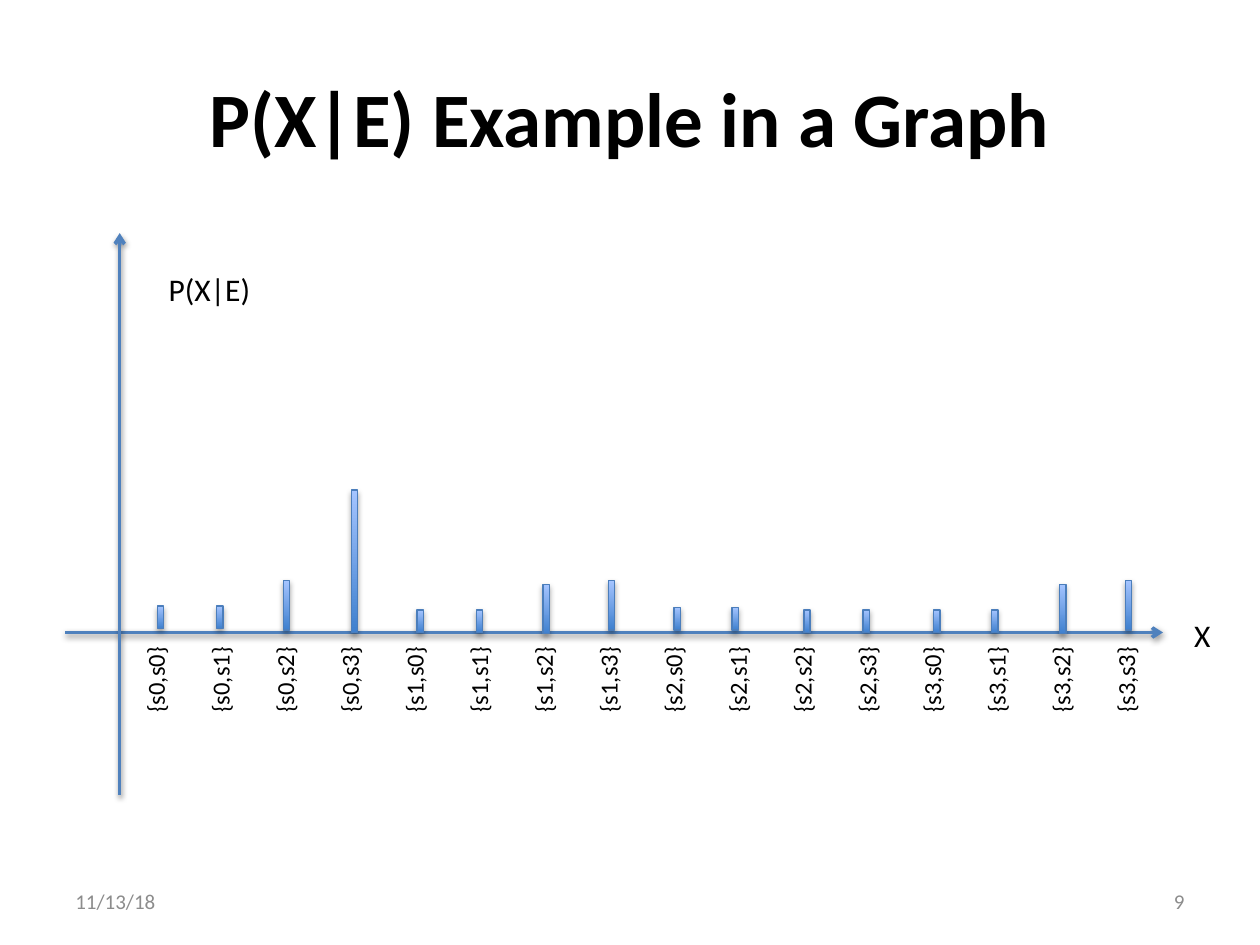
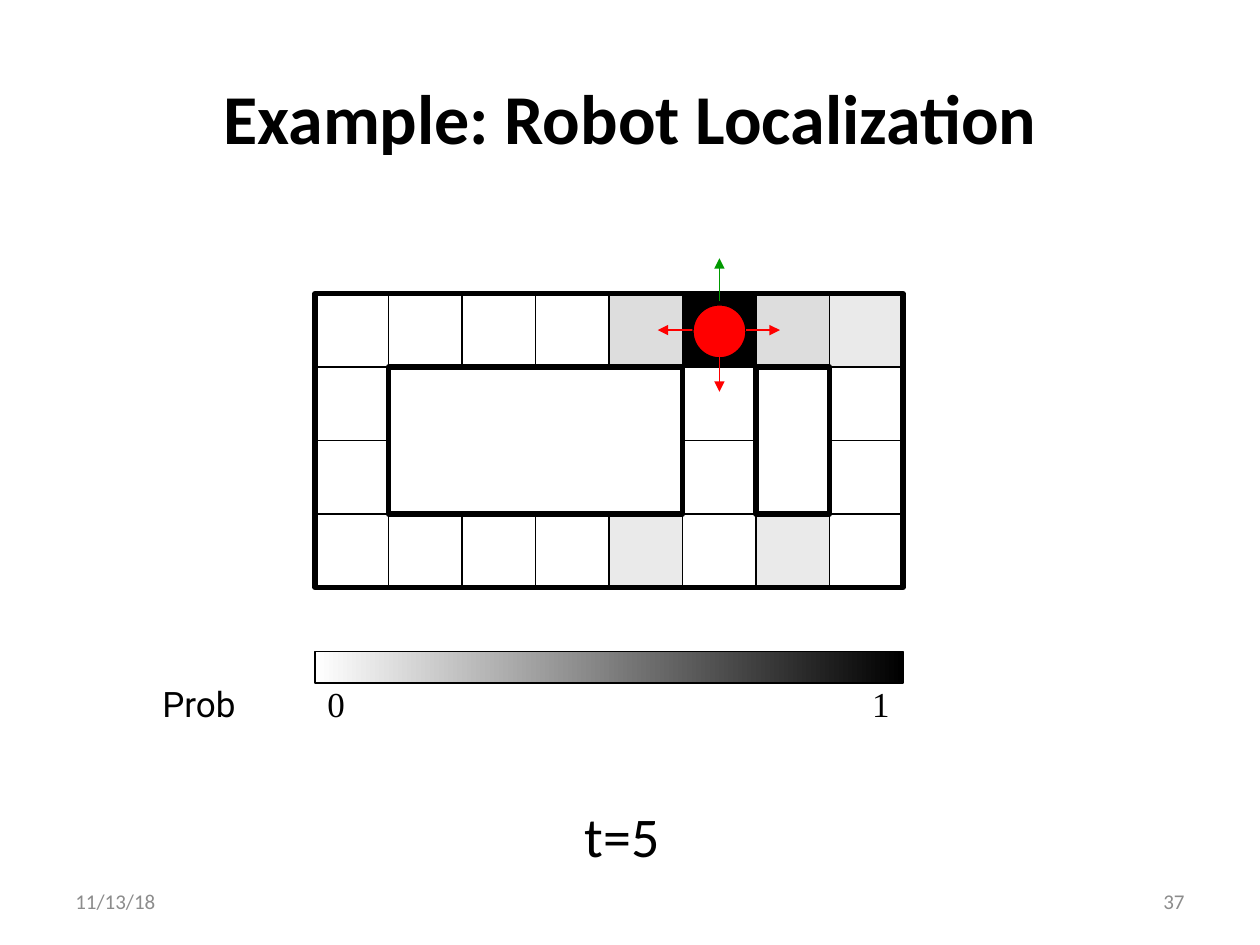
from lxml import etree
from pptx import Presentation
from pptx.dml.color import RGBColor
from pptx.enum.shapes import MSO_CONNECTOR, MSO_SHAPE
from pptx.enum.text import MSO_ANCHOR, MSO_AUTO_SIZE, PP_ALIGN
from pptx.oxml.ns import qn
from pptx.util import Inches, Pt

RECT, OVAL = MSO_SHAPE.RECTANGLE, MSO_SHAPE.OVAL
STRAIGHT = MSO_CONNECTOR.STRAIGHT
LEFT, CENTER, RIGHT = PP_ALIGN.LEFT, PP_ALIGN.CENTER, PP_ALIGN.RIGHT
TOP, MIDDLE = MSO_ANCHOR.TOP, MSO_ANCHOR.MIDDLE
GROW = MSO_AUTO_SIZE.SHAPE_TO_FIT_TEXT

FONT = "Calibri"
BLACK, WHITE, GREY = "000000", "FFFFFF", "8C8C8C"
RED, GREEN = "FF0000", "009900"
AXIS, BAR_LINE = "4F81BD", "4B7EBC"
BAR_GRADIENT = ("3F80CE", "A4C4FF")
DATE = "11/13/18"

BARS = [
    (1.25, 4.81, 0.18), (1.72, 4.81, 0.18), (2.25, 4.61, 0.39), (2.79, 3.89, 1.13),
    (3.31, 4.84, 0.18), (3.78, 4.84, 0.18), (4.31, 4.64, 0.39), (4.83, 4.61, 0.39),
    (5.35, 4.82, 0.18), (5.81, 4.82, 0.18), (6.38, 4.84, 0.18), (6.85, 4.84, 0.18),
    (7.41, 4.84, 0.18), (7.87, 4.84, 0.18), (8.41, 4.64, 0.39), (8.93, 4.61, 0.39),
]
BAR_WIDTH = 0.05
LABEL_LEFT, LABEL_STEP = 0.87, 7.7 / 15

CELL = 7 / 12
MAP_LEFT, MAP_TOP, MAP_COLS, MAP_ROWS = 2.5, 2.33, 8, 4
WALLS = [(1, 1, 4, 2), (6, 1, 1, 2)]
CELL_FILLS = {(4, 0): "DDDDDD", (5, 0): BLACK, (6, 0): "DDDDDD",
              (7, 0): "EAEAEA", (4, 3): "EAEAEA", (6, 3): "EAEAEA"}


def rgb(color):
    """Turn a hex string into a colour."""
    return RGBColor.from_string(color)


def set_font(p, size, color=BLACK, font=FONT, bold=False):
    """Format a whole paragraph."""
    p.font.size, p.font.name, p.font.bold = Pt(size), font, bold
    p.font.color.rgb = rgb(color)


def place(sp, left, top, width, height):
    """Move and size a shape, in inches."""
    sp.left, sp.top = Inches(left), Inches(top)
    sp.width, sp.height = Inches(width), Inches(height)


def set_shadow(sp, alpha=0, dist=0):
    """Replace the theme shadow, with none when alpha is zero."""
    effects = etree.SubElement(sp._element.spPr, qn("a:effectLst"))
    if alpha:
        shadow = etree.SubElement(effects, qn("a:outerShdw"), blurRad=str(Pt(3.1)),
                                  dist=str(Pt(dist)), dir="5400000", rotWithShape="0")
        color = etree.SubElement(shadow, qn("a:srgbClr"), val=BLACK)
        etree.SubElement(color, qn("a:alpha"), val=str(alpha * 1000))


def add_text(slide, text, box, size, color=BLACK, font=FONT, align=LEFT,
             anchor=MIDDLE, wrap=False, grow=False, rotation=0):
    """Add a one-paragraph text box."""
    sp = slide.shapes.add_textbox(*map(Inches, box))
    sp.rotation = rotation
    tf = sp.text_frame
    tf.word_wrap, tf.vertical_anchor = wrap, anchor
    if grow:
        tf.auto_size = GROW
    p = tf.paragraphs[0]
    p.text, p.alignment = text, align
    set_font(p, size, color, font)


def add_figure_label(slide, text, box, size, rotation=0):
    """Add a label that grows with its text."""
    add_text(slide, text, box, size, anchor=TOP, grow=True, rotation=rotation)


def add_shape(slide, kind, box, fill=None, line=BLACK, weight=0.75,
              angle=0, alpha=0, dist=0):
    """Add a shape with no fill, a solid fill or a two-colour gradient."""
    sp = slide.shapes.add_shape(kind, *map(Inches, box))
    if fill is None:
        sp.fill.background()
    elif isinstance(fill, str):
        sp.fill.solid()
        sp.fill.fore_color.rgb = rgb(fill)
    else:
        sp.fill.gradient()
        sp.fill.gradient_angle = angle
        for stop, color in zip(sp.fill.gradient_stops, fill):
            stop.color.rgb = rgb(color)
    sp.line.color.rgb, sp.line.width = rgb(line), Pt(weight)
    set_shadow(sp, alpha, dist)


def add_arrow(slide, start, end, color, weight=0.75, head="triangle", alpha=0, dist=0):
    """Add a straight arrow that points at end."""
    sp = slide.shapes.add_connector(STRAIGHT, *map(Inches, start + end))
    sp.line.color.rgb, sp.line.width = rgb(color), Pt(weight)
    etree.SubElement(sp.line._get_or_add_ln(), qn("a:tailEnd"), type=head)
    set_shadow(sp, alpha, dist)


def add_slide(prs, layout, title, size, number):
    """Add a slide with its title, date and number."""
    slide = prs.slides.add_slide(prs.slide_layouts.get_by_name(layout))
    sp = slide.shapes.title
    place(sp, 0.5, 0.3, 9, 1.25)
    sp.text_frame.vertical_anchor = MIDDLE
    p = sp.text_frame.paragraphs[0]
    p.text, p.alignment = title, CENTER
    set_font(p, size, bold=True)
    add_text(slide, DATE, (0.5, 6.95, 2.33, 0.4), 12, GREY, wrap=True)
    add_text(slide, number, (7.17, 6.95, 2.33, 0.4), 12, GREY, align=RIGHT, wrap=True)
    return slide


def add_time_step(slide, text):
    """Fill the body placeholder with a centred line without a bullet."""
    sp = slide.placeholders[1]
    place(sp, 0.69, 6.31, 8.5, 1)
    p = sp.text_frame.paragraphs[0]
    p.text, p.alignment = text, CENTER
    set_font(p, 32)
    pPr = p._p.get_or_add_pPr()
    pPr.set("marL", str(Inches(0.38)))
    pPr.set("indent", str(-Inches(0.38)))
    pPr.insert(0, etree.Element(qn("a:buNone")))


def add_graph(slide):
    """Draw the axes, bars and state labels."""
    for start, end in [((0.52, 5.02), (9.23, 5.02)), ((0.95, 6.31), (0.95, 1.85))]:
        add_arrow(slide, start, end, AXIS, 2, "arrow", alpha=38, dist=1.6)
    add_figure_label(slide, "P(X|E)", (1.24, 2.09, 0.86, 0.4), 18)
    add_figure_label(slide, "X", (9.38, 4.84, 0.33, 0.4), 18)
    for i, (left, top, height) in enumerate(BARS):
        add_figure_label(slide, f"{{s{i // 4},s{i % 4}}}",
                         (LABEL_LEFT + i * LABEL_STEP, 5.22, 0.73, 0.34), 14, 270)
        add_shape(slide, RECT, (left, top, BAR_WIDTH, height), BAR_GRADIENT,
                  BAR_LINE, angle=90, alpha=35, dist=1.8)


def map_box(col, row, cols=1, rows=1):
    """Give the box of a block of map cells."""
    return MAP_LEFT + col * CELL, MAP_TOP + row * CELL, cols * CELL, rows * CELL


def add_map(slide):
    """Draw the corridor cells, the walls and the outer frame."""
    blocked = {(c + i, r + j) for c, r, w, h in WALLS
               for i in range(w) for j in range(h)}
    for row in range(MAP_ROWS):
        for col in range(MAP_COLS):
            if (col, row) not in blocked:
                add_shape(slide, RECT, map_box(col, row), CELL_FILLS.get((col, row)))
    for wall in WALLS:
        add_shape(slide, RECT, map_box(*wall), WHITE, weight=3)
    add_shape(slide, RECT, map_box(0, 0, MAP_COLS, MAP_ROWS), weight=3)


def add_robot(slide):
    """Draw the robot and its sensor arrows."""
    add_arrow(slide, (5.34, 2.62), (5.64, 2.62), RED)
    add_shape(slide, OVAL, (5.5, 2.42, 0.42, 0.42), RED)
    for start, end, color in [
        ((5.71, 2.39), (5.71, 2.05), GREEN),
        ((5.71, 2.83), (5.71, 3.11), RED),
        ((5.92, 2.62), (6.19, 2.62), RED),
        ((5.49, 2.62), (5.22, 2.62), RED),
    ]:
        add_arrow(slide, start, end, color)


def add_scale(slide):
    """Draw the probability scale and its labels."""
    add_shape(slide, RECT, (MAP_LEFT, 5.17, MAP_COLS * CELL, 0.25), (WHITE, BLACK))
    for text, left, width, font, align in [
        ("1", 4.83, 2.33, "Times New Roman", RIGHT),
        ("0", 2.5, 2.33, "Times New Roman", LEFT),
        ("Prob", 0.83, 1.5, "Roboto", CENTER),
    ]:
        add_text(slide, text, (left, 5.42, width, 0.33), 20, font=font, align=align)


def main():
    """Build both slides and save them."""
    prs = Presentation()
    prs.slide_width, prs.slide_height = Inches(10), Inches(7.5)

    slide = add_slide(prs, "Title Only", "P(X|E) Example in a Graph", 44, "9")
    add_graph(slide)

    slide = add_slide(prs, "Title and Content", "Example: Robot Localization", 40, "37")
    add_time_step(slide, "t=5")
    add_map(slide)
    add_scale(slide)
    add_robot(slide)

    prs.save("out.pptx")


if __name__ == "__main__":
    main()
